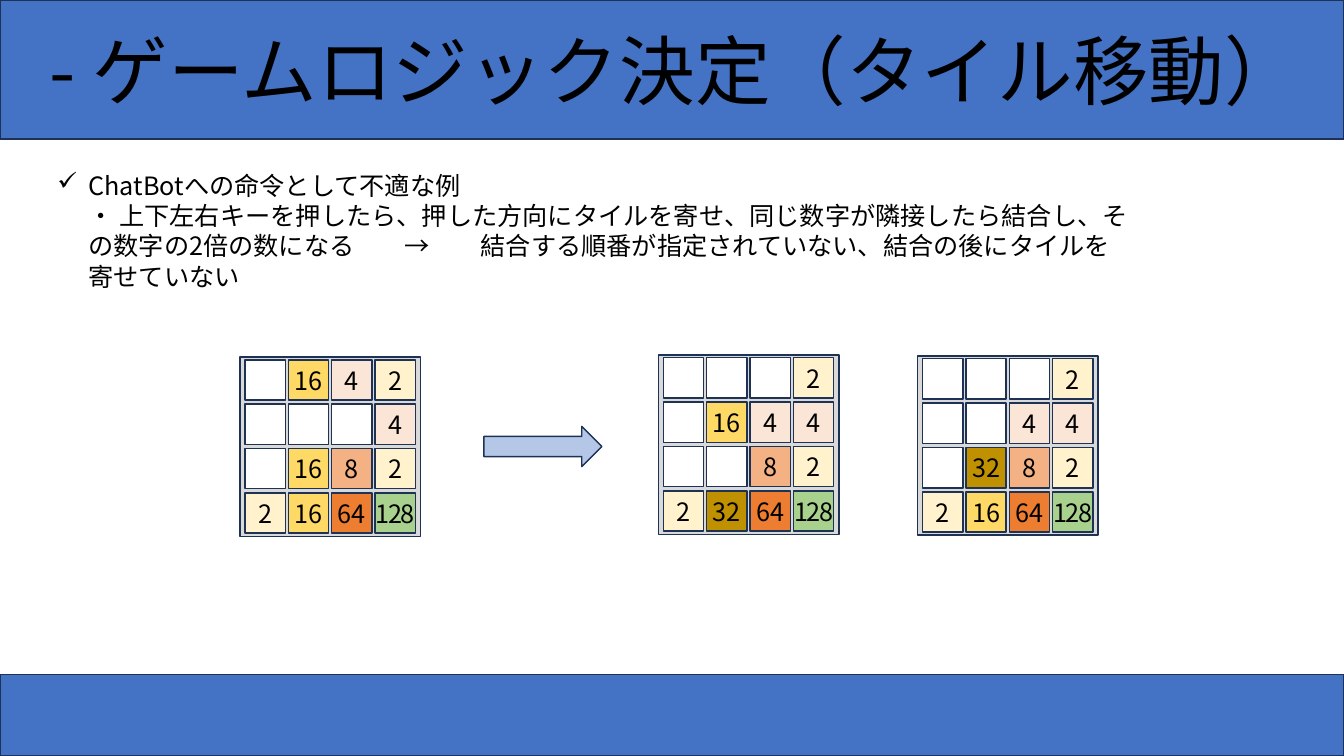
from lxml import etree
from pptx import Presentation
from pptx.dml.color import RGBColor
from pptx.enum import shapes, text
from pptx.oxml.ns import qn
from pptx.util import Inches, Pt

FONT = "Noto Sans CJK JP"
BLUE, OUTLINE, BLACK = "4472C4", "1E3256", "000000"
TILE, PITCH_X, PITCH_Y = 0.4, 0.43, 0.44
TILE_FILLS = {
    0: "FFFFFF", 2: "FFF2CC", 4: "FBE5D6", 8: "F4B183",
    16: "FFD966", 32: "BF9000", 64: "ED7D31", 128: "A9D18E",
}
BOARDS = [
    (2.38, 3.54, [[0, 16, 4, 2], [0, 0, 0, 4], [0, 16, 8, 2], [2, 16, 64, 128]]),
    (6.53, 3.52, [[0, 0, 0, 2], [0, 16, 4, 4], [0, 0, 8, 2], [2, 32, 64, 128]]),
    (9.1, 3.53, [[0, 0, 0, 2], [0, 0, 4, 4], [0, 32, 8, 2], [2, 16, 64, 128]]),
]
NOTE = (
    "ChatBotへの命令として不適な例\v"
    "・ 上下左右キーを押したら、押した方向にタイルを寄せ、同じ数字が隣接したら結合し、"
    "その数字の2倍の数になる　　→　　結合する順番が指定されていない、"
    "結合の後にタイルを寄せていない"
)


def color(value):
    return RGBColor.from_string(value)


def add_box(slide, x, y, w, h, fill, kind=shapes.MSO_SHAPE.RECTANGLE):
    sp = slide.shapes.add_shape(kind, Inches(x), Inches(y), Inches(w), Inches(h))
    sp.shadow.inherit = False
    sp.fill.solid()
    sp.fill.fore_color.rgb = color(fill)
    sp.line.color.rgb = color(OUTLINE)
    sp.line.width = Pt(1)
    return sp


def write(p, words, size, align, spacing=None):
    p.text = words
    p.alignment = align
    p.font.name = FONT
    p.font.size = Pt(size)
    p.font.color.rgb = color(BLACK)
    props = p._p.get_or_add_pPr().find(qn("a:defRPr"))
    etree.SubElement(props, qn("a:ea")).set("typeface", FONT)
    if spacing:
        props.set("spc", str(spacing))


def set_indent(p, left, first):
    props = p._p.get_or_add_pPr()
    props.set("marL", str(Inches(left)))
    props.set("indent", str(Inches(first)))
    return props


def add_title(slide, words):
    sp = add_box(slide, 0, 0, 13.33, 1.38, BLUE)
    tf = sp.text_frame
    tf.vertical_anchor = text.MSO_ANCHOR.MIDDLE
    p = tf.paragraphs[0]
    set_indent(p, 0, 0.39)
    write(p, words, 54, text.PP_ALIGN.LEFT)


def add_note(slide, words):
    sp = slide.shapes.add_textbox(Inches(0.47), Inches(1.64), Inches(10.83), Inches(1.01))
    tf = sp.text_frame
    tf.word_wrap = True
    tf.auto_size = text.MSO_AUTO_SIZE.SHAPE_TO_FIT_TEXT
    p = tf.paragraphs[0]
    props = set_indent(p, 0.31, -0.31)
    etree.SubElement(props, qn("a:buChar")).set("char", "✓")
    write(p, words, 18, text.PP_ALIGN.LEFT)


def add_tile(slide, x, y, value):
    sp = add_box(slide, x, y, TILE, TILE, TILE_FILLS[value])
    if not value:
        return
    tf = sp.text_frame
    tf.margin_left = tf.margin_right = tf.margin_top = tf.margin_bottom = 0
    tf.vertical_anchor = text.MSO_ANCHOR.MIDDLE
    spacing = -100 if value > 99 else None
    write(tf.paragraphs[0], str(value), 18, text.PP_ALIGN.CENTER, spacing)


def add_board(slide, x, y, rows):
    add_box(slide, x, y, 1.79, 1.78, "D9D9D9")
    for r, row in enumerate(rows):
        for c, value in enumerate(row):
            add_tile(slide, x + 0.05 + c * PITCH_X, y + 0.03 + r * PITCH_Y, value)


def main():
    prs = Presentation()
    prs.slide_width, prs.slide_height = Inches(13.33), Inches(7.5)
    slide = prs.slides.add_slide(prs.slide_layouts[6])
    add_title(slide, "- ゲームロジック決定（タイル移動）")
    add_box(slide, 0, 6.69, 13.33, 0.81, BLUE)
    add_note(slide, NOTE)
    for x, y, rows in BOARDS:
        add_board(slide, x, y, rows)
    add_box(slide, 4.8, 4.23, 1.17, 0.4, "B4C7E7", shapes.MSO_SHAPE.RIGHT_ARROW)
    prs.save("out.pptx")


if __name__ == "__main__":
    main()
